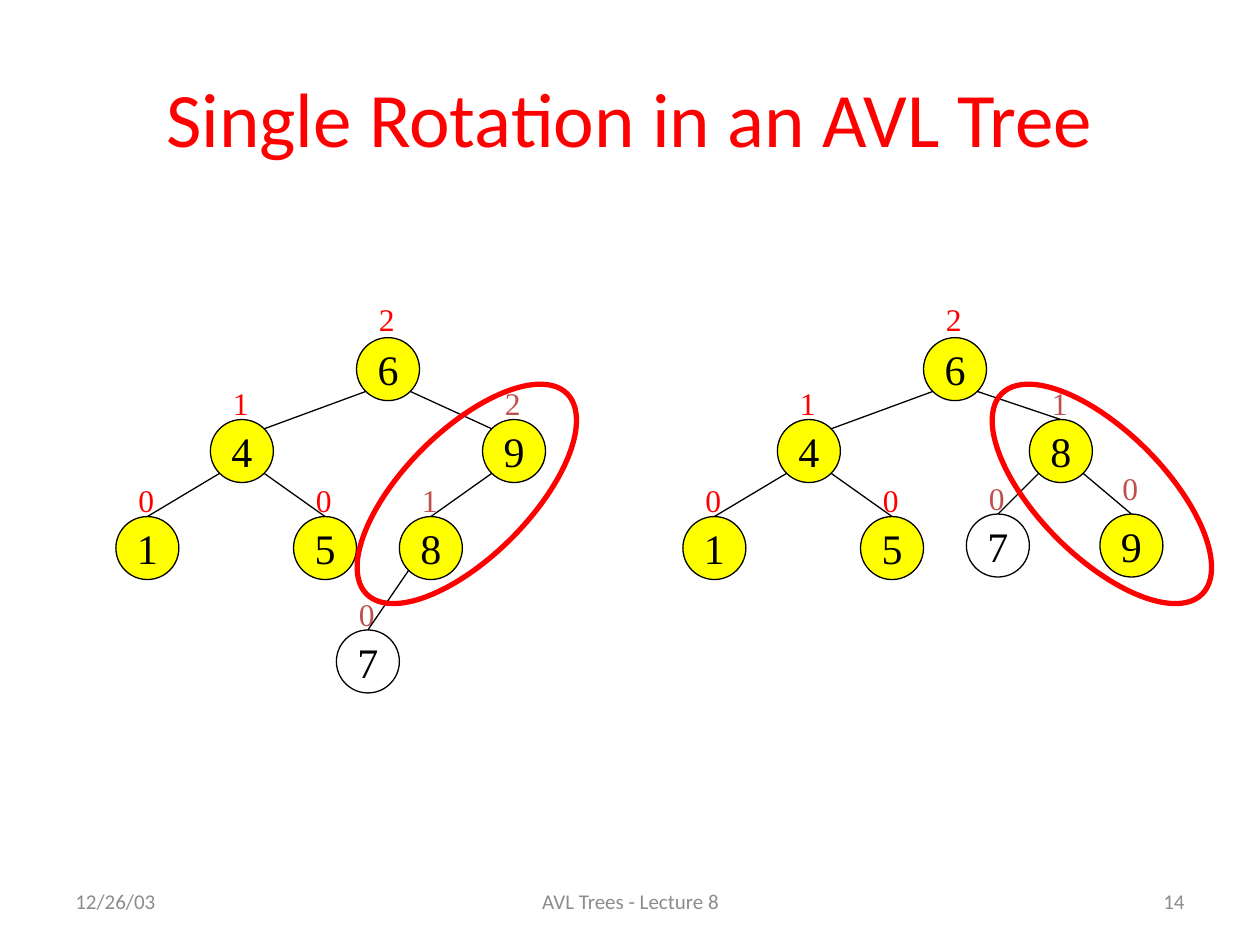
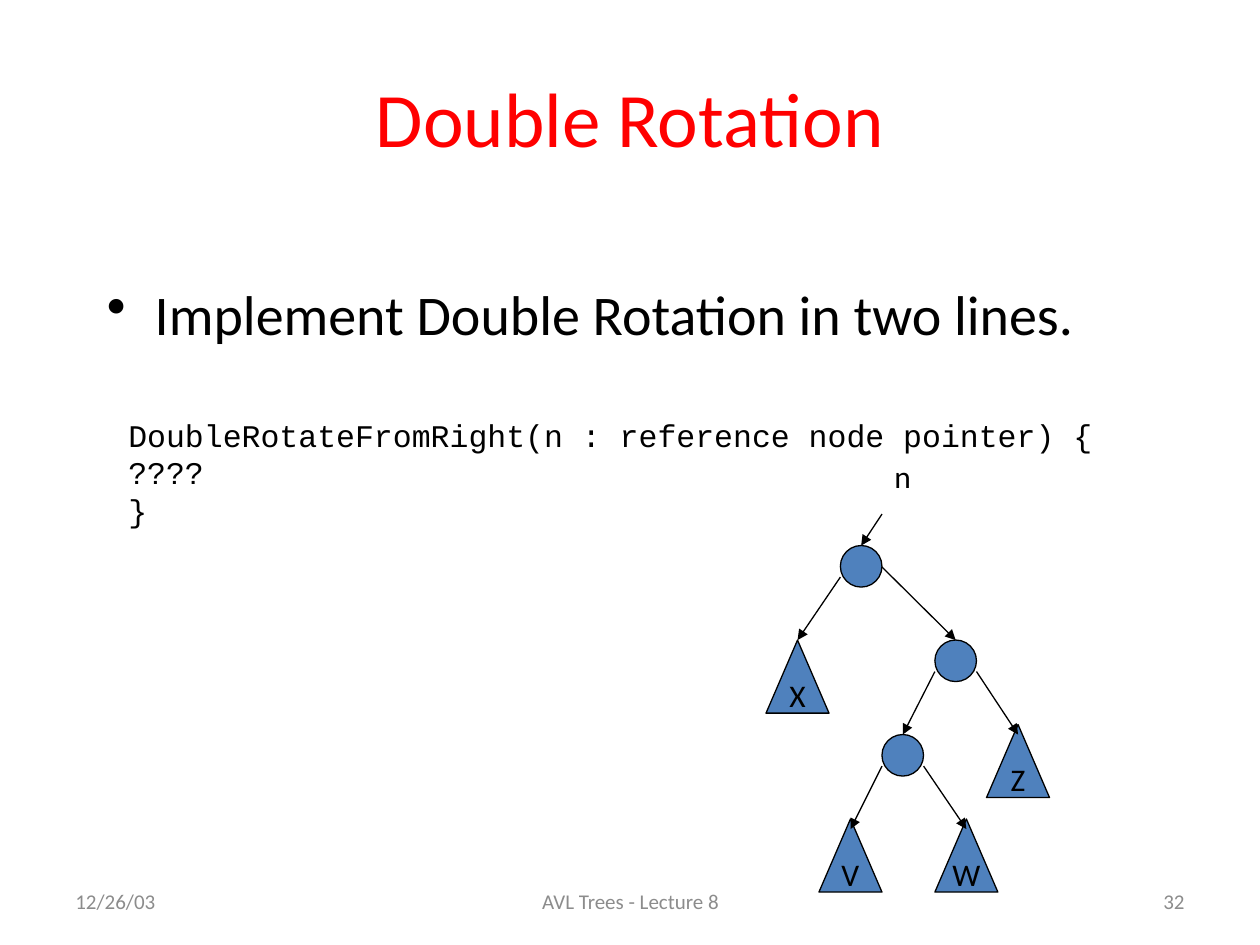
from dataclasses import dataclass
from typing import Any, Optional

import pptx
import pptx.dml.color
import pptx.enum.shapes
import pptx.enum.text
import pptx.oxml
import pptx.oxml.ns
import pptx.util

Inches = pptx.util.Inches
Pt = pptx.util.Pt
Shape = pptx.enum.shapes.MSO_SHAPE
Align = pptx.enum.text.PP_ALIGN
Anchor = pptx.enum.text.MSO_ANCHOR
AutoSize = pptx.enum.text.MSO_AUTO_SIZE


@dataclass(frozen=True)
class TextStyle:
    font: str
    size: int
    color: str


@dataclass(frozen=True)
class Theme:
    red: str = "FF0000"
    black: str = "000000"
    yellow: str = "FFFF00"
    blue: str = "4F81BD"
    thin: float = 0.75
    thick: float = 3
    title: TextStyle = TextStyle("Calibri", 44, "FF0000")
    body: TextStyle = TextStyle("Calibri", 32, "000000")
    small: TextStyle = TextStyle("Calibri", 18, "000000")
    footer: TextStyle = TextStyle("Calibri", 12, "8C8C8C")
    code: TextStyle = TextStyle("Courier New", 18, "000000")
    key: TextStyle = TextStyle("Times New Roman", 24, "000000")
    height: TextStyle = TextStyle("Times New Roman", 18, "FF0000")
    changed_height: TextStyle = TextStyle("Times New Roman", 18, "C0504D")


THEME = Theme()
KEY_SIZE = 0.5
DIAGONAL = KEY_SIZE / 2 * 0.5 ** 0.5
DOT_SIZE = 0.33
SUBTREE_WIDTH, SUBTREE_HEIGHT = 0.5, 0.58


@dataclass(frozen=True)
class KeyNode:
    key: str
    left: float
    top: float
    height: str
    parent: Optional[str] = None
    changed: bool = False
    inserted: bool = False
    joins_top: bool = True
    label_rise: float = 0.33


@dataclass(frozen=True)
class Subtree:
    name: str
    left: float
    top: float


@dataclass(frozen=True)
class Arrow:
    start: tuple[float, float]
    end: tuple[float, float]
    target: Optional[str] = None


def rgb(color: str) -> pptx.dml.color.RGBColor:
    return pptx.dml.color.RGBColor.from_string(color)


def set_values(target: Any, values: dict[str, Any]) -> None:
    for name, value in values.items():
        setattr(target, name, value)


def write(shape: Any, lines: list[str], style: TextStyle, align: Any = Align.LEFT,
          bullet: bool = False, **frame_values: Any) -> None:
    frame = shape.text_frame
    set_values(frame, {"word_wrap": True, **frame_values})
    for index, line in enumerate(lines):
        para = frame.paragraphs[0] if index == 0 else frame.add_paragraph()
        para.alignment = align
        if bullet:
            properties = para._p.get_or_add_pPr()
            properties.set("marL", str(Inches(0.38)))
            properties.set("indent", str(Inches(-0.38)))
            mark = pptx.oxml.parse_xml(
                f'<a:buChar {pptx.oxml.ns.nsdecls("a")} char="•"/>')
            properties.append(mark)
        span = para.add_run()
        span.text = line
        set_values(span.font, {"name": style.font, "size": Pt(style.size)})
        span.font.color.rgb = rgb(style.color)


def add_text(page: Any, at: tuple[float, float, float, float], lines: list[str],
             style: TextStyle, **options: Any) -> None:
    box = page.shapes.add_textbox(*map(Inches, at))
    write(box, lines, style, **options)


def add_label(page: Any, at: tuple[float, float, float, float], lines: list[str],
              style: TextStyle) -> None:
    """Add text in a box that fits its words and does not wrap."""
    add_text(page, at, lines, style, word_wrap=False,
             auto_size=AutoSize.SHAPE_TO_FIT_TEXT)


def add_figure(page: Any, kind: Any, at: tuple[float, float, float, float],
               fill: Optional[str] = None, line: str = THEME.black,
               width: float = THEME.thin, rotation: float = 0) -> Any:
    figure = page.shapes.add_shape(kind, *map(Inches, at))
    figure.shadow.inherit = False
    figure.rotation = rotation
    if fill:
        figure.fill.solid()
        figure.fill.fore_color.rgb = rgb(fill)
    else:
        figure.fill.background()
    figure.line.color.rgb = rgb(line)
    figure.line.width = Pt(width)
    return figure


def add_line(page: Any, start: tuple[float, float], end: tuple[float, float],
             top_of: Any = None, arrow: bool = False) -> None:
    """Draw a line, joined to the top of a figure where one is given."""
    line = page.shapes.add_connector(pptx.enum.shapes.MSO_CONNECTOR.STRAIGHT,
                                     *map(Inches, start + end))
    line.line.color.rgb = rgb(THEME.black)
    line.line.width = Pt(THEME.thin)
    if top_of is not None:
        line.end_connect(top_of, 0)
    names = pptx.oxml.ns.nsdecls("a")
    properties = line.element.spPr
    if arrow:
        outline = properties.find(pptx.oxml.ns.qn("a:ln"))
        outline.append(pptx.oxml.parse_xml(f'<a:tailEnd {names} type="triangle"/>'))
    properties.append(pptx.oxml.parse_xml(f"<a:effectLst {names}/>"))


def add_page(deck: Any, title: str, number: str) -> Any:
    page = deck.slides.add_slide(deck.slide_layouts[6])
    for left, width, words, align in (
            (0.5, 2.33, "12/26/03", Align.LEFT),
            (3.42, 3.17, "AVL Trees - Lecture 8", Align.CENTER),
            (7.17, 2.33, number, Align.RIGHT)):
        add_text(page, (left, 6.95, width, 0.4), [words], THEME.footer,
                 align=align, vertical_anchor=Anchor.MIDDLE)
    add_text(page, (0.5, 0.3, 9, 1.25), [title], THEME.title,
             align=Align.CENTER, vertical_anchor=Anchor.MIDDLE)
    return page


def add_key_tree(page: Any, nodes: list[KeyNode], offset: float = 0) -> None:
    """Draw keyed circles with their heights, and an edge from each parent."""
    by_key = {node.key: node for node in nodes}
    circles = {}
    for node in nodes:
        left = node.left + offset
        style = THEME.changed_height if node.changed else THEME.height
        add_label(page, (left + 0.08, node.top - node.label_rise, 0.34, 0.43),
                  [node.height], style)
        circle = add_figure(page, Shape.OVAL, (left, node.top, KEY_SIZE, KEY_SIZE),
                            None if node.inserted else THEME.yellow)
        write(circle, [node.key], THEME.key, Align.CENTER, word_wrap=False,
              vertical_anchor=Anchor.MIDDLE)
        circles[node.key] = circle
    for node in nodes:
        if node.parent is None:
            continue
        parent = by_key[node.parent]
        side = 1 if node.left > parent.left else -1
        middle = KEY_SIZE / 2
        start = (parent.left + offset + middle + side * DIAGONAL,
                 parent.top + middle + DIAGONAL)
        if node.joins_top:
            end = (node.left + offset + middle, node.top)
        else:
            end = (node.left + offset + middle - side * DIAGONAL,
                   node.top + middle - DIAGONAL)
        add_line(page, start, end, circles[node.key] if node.joins_top else None)


def build_single_rotation(deck: Any) -> None:
    page = add_page(deck, "Single Rotation in an AVL Tree", "14")
    shared = [
        KeyNode("6", 2.83, 2.68, "2", label_rise=0.35),
        KeyNode("4", 1.67, 3.33, "1", "6", joins_top=False),
        KeyNode("1", 0.92, 4.1, "0", "4"),
        KeyNode("5", 2.33, 4.1, "0", "4"),
    ]
    before = [
        KeyNode("9", 3.83, 3.33, "2", "6", changed=True, joins_top=False),
        KeyNode("8", 3.17, 4.1, "1", "9", changed=True),
        KeyNode("7", 2.67, 5, "0", "8", changed=True, inserted=True),
    ]
    after = [
        KeyNode("8", 3.67, 3.33, "1", "6", changed=True),
        KeyNode("9", 4.23, 4.08, "0", "8", changed=True, label_rise=0.41),
        KeyNode("7", 3.17, 4.08, "0", "8", changed=True, inserted=True),
    ]
    add_key_tree(page, shared + before)
    add_key_tree(page, shared + after, offset=4.5)
    for left, rotation in ((2.58, 315), (7.62, 45)):
        add_figure(page, Shape.OVAL, (left, 3.42, 2.25, 1), line=THEME.red,
                   width=THEME.thick, rotation=rotation)


def build_double_rotation(deck: Any) -> None:
    page = add_page(deck, "Double Rotation", "32")
    add_text(page, (0.75, 2.17, 8.5, 0.75),
             ["Implement Double Rotation in two lines."], THEME.body, bullet=True)
    add_label(page, (0.92, 3.25, 8.7, 1.1),
              ["DoubleRotateFromRight(n : reference node pointer) {", "????", "}"],
              THEME.code)
    add_label(page, (7, 3.58, 0.36, 0.43), ["n"], THEME.small)

    figures = {}
    for name, left, top in (("root", 6.67, 4.33), ("child", 7.42, 5.08),
                            ("grandchild", 7, 5.83)):
        figures[name] = add_figure(page, Shape.OVAL, (left, top, DOT_SIZE, DOT_SIZE),
                                   THEME.blue)
    for subtree in (Subtree("X", 6.08, 5.08), Subtree("Z", 7.83, 5.75),
                    Subtree("V", 6.5, 6.5), Subtree("W", 7.42, 6.5)):
        triangle = add_figure(
            page, Shape.ISOSCELES_TRIANGLE,
            (subtree.left, subtree.top, SUBTREE_WIDTH, SUBTREE_HEIGHT), THEME.blue)
        write(triangle, [subtree.name], THEME.small, Align.CENTER, word_wrap=False,
              vertical_anchor=Anchor.MIDDLE)
        figures[subtree.name] = triangle
    for arrow in (Arrow((7, 4.08), (6.83, 4.33), "root"),
                  Arrow((6.67, 4.58), (6.33, 5.08), "X"),
                  Arrow((7, 4.5), (7.58, 5.08), "child"),
                  Arrow((7.42, 5.33), (7.17, 5.83), "grandchild"),
                  Arrow((7.75, 5.33), (8.08, 5.83)),
                  Arrow((7, 6.08), (6.75, 6.58)),
                  Arrow((7.33, 6.08), (7.67, 6.58))):
        add_line(page, arrow.start, arrow.end, figures.get(arrow.target), arrow=True)


def main() -> None:
    deck = pptx.Presentation()
    set_values(deck, {"slide_width": Inches(10), "slide_height": Inches(7.5)})
    build_single_rotation(deck)
    build_double_rotation(deck)
    deck.save("out.pptx")


if __name__ == "__main__":
    main()
